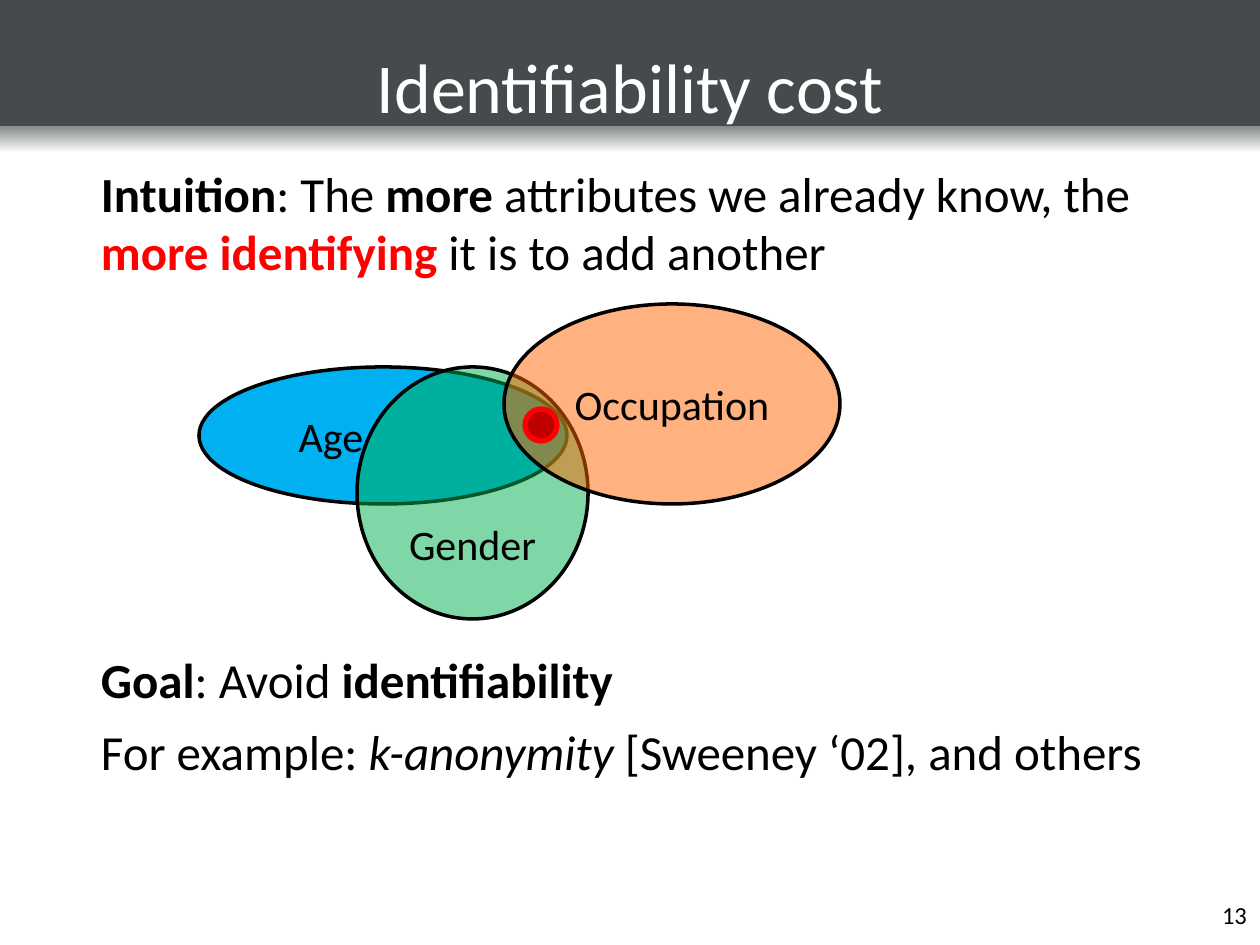
"""Build the identifiability cost slide with its three overlapping attribute sets."""
from lxml.etree import SubElement
from pptx import Presentation
from pptx.dml.color import RGBColor
from pptx.enum.shapes import MSO_SHAPE
from pptx.enum.text import MSO_ANCHOR, MSO_AUTO_SIZE, PP_ALIGN
from pptx.oxml.ns import qn
from pptx.util import Pt

THEME = {
    "font": "Calibri",
    "title": 40, "body": 28, "label": 24, "number": 14,
    "white": "FFFFFF", "black": "000000", "red": "FF0000", "dark_red": "C00000",
    "slate": "454B4C", "mist": "868A8B",
    "blue": "00B0F0", "green": "00B050", "orange": "FF6600",
}
PX = 914400 / 126


def place(*lengths):
    return [round(length * PX) for length in lengths]


def write(box, paragraphs, size, color, align, anchor, insets):
    frame = box.text_frame
    left, top, right, bottom = place(*insets)
    frame_format = {
        "word_wrap": True, "auto_size": MSO_AUTO_SIZE.NONE, "vertical_anchor": anchor,
        "margin_left": left, "margin_top": top,
        "margin_right": right, "margin_bottom": bottom,
    }
    for name, value in frame_format.items():
        setattr(frame, name, value)
    for index, (space, spans) in enumerate(paragraphs):
        para = frame.add_paragraph() if index else frame.paragraphs[0]
        for name, value in {"alignment": align, "space_before": Pt(space)}.items():
            setattr(para, name, value)
        for text, style in spans:
            span = para.add_run()
            span.text = text
            font_format = {"name": THEME["font"], "size": Pt(THEME[size]),
                           "bold": "b" in style, "italic": "i" in style}
            for name, value in font_format.items():
                setattr(span.font, name, value)
            shade = "red" if "r" in style else color
            span.font.color.rgb = RGBColor.from_string(THEME[shade])


deck = Presentation()
deck.slide_width, deck.slide_height = place(1260, 945)
page = deck.slides.add_slide(deck.slide_layouts[5])
shapes = page.shapes
title = shapes.title

header = shapes.add_shape(MSO_SHAPE.RECTANGLE, *place(0, 0, 1260, 126))
header.fill.solid()
header.fill.fore_color.rgb = RGBColor.from_string(THEME["slate"])
fade = shapes.add_shape(MSO_SHAPE.RECTANGLE, *place(0, 126, 1260, 27))
fade.fill.gradient()
fade.fill.gradient_angle = 270
for stop, shade in zip(fade.fill.gradient_stops, ("mist", "white")):
    stop.color.rgb = RGBColor.from_string(THEME[shade])
for band in (header, fade):
    band.shadow.inherit = False
    band.line.fill.background()
    title._element.addprevious(band._element)

title.left, title.top, title.width, title.height = place(0, 28, 1260, 104)
write(title, [(0, [("Identifiability cost", "")])], "title", "white",
      PP_ALIGN.CENTER, MSO_ANCHOR.BOTTOM, (9, 4, 9, 4))

statements = [
    (0, [("Intuition", "b"), (": The ", ""), ("more", "b"),
         (" attributes we already know, the ", ""),
         ("more identifying ", "br"), ("it is to add another", "")]),
    (211, [("Goal", "b"), (": Avoid ", ""), ("identifiability", "b")]),
    (7, [("For example: ", ""), ("k-anonymity", "i"),
         (" [Sweeney ‘02], and others", "")]),
]
body = shapes.add_textbox(*place(92, 158, 1105, 625))
write(body, statements, "body", "black", PP_ALIGN.LEFT, MSO_ANCHOR.TOP, (9, 5, 9, 5))

ellipses = [
    ("Age", (199, 367, 368, 137), "blue", 100, "black", 2, (6, 6, 110, 6)),
    ("Gender", (357, 367, 231, 252), "green", 50, "black", 2, (6, 108, 6, 6)),
    ("Occupation", (504, 304, 336, 200), "orange", 50, "black", 2, (6, 6, 6, 6)),
    ("", (525, 409, 32, 32), "dark_red", 100, "red", 3, (0, 0, 0, 0)),
]
for label, bounds, shade, opacity, outline, weight, insets in ellipses:
    ellipse = shapes.add_shape(MSO_SHAPE.OVAL, *place(*bounds))
    ellipse.shadow.inherit = False
    ellipse.fill.solid()
    ellipse.fill.fore_color.rgb = RGBColor.from_string(THEME[shade])
    if opacity < 100:
        color = ellipse._element.spPr.find(qn("a:solidFill")).find(qn("a:srgbClr"))
        SubElement(color, qn("a:alpha"), val=str(opacity * 1000))
    ellipse.line.color.rgb = RGBColor.from_string(THEME[outline])
    ellipse.line.width = Pt(weight)
    if label:
        write(ellipse, [(0, [(label, "")])], "label", "black",
              PP_ALIGN.CENTER, MSO_ANCHOR.MIDDLE, insets)

number = shapes.add_textbox(*place(998, 872, 262, 63))
write(number, [(0, [("13", "")])], "number", "black",
      PP_ALIGN.RIGHT, MSO_ANCHOR.BOTTOM, (13, 6, 13, 6))

deck.save("out.pptx")
